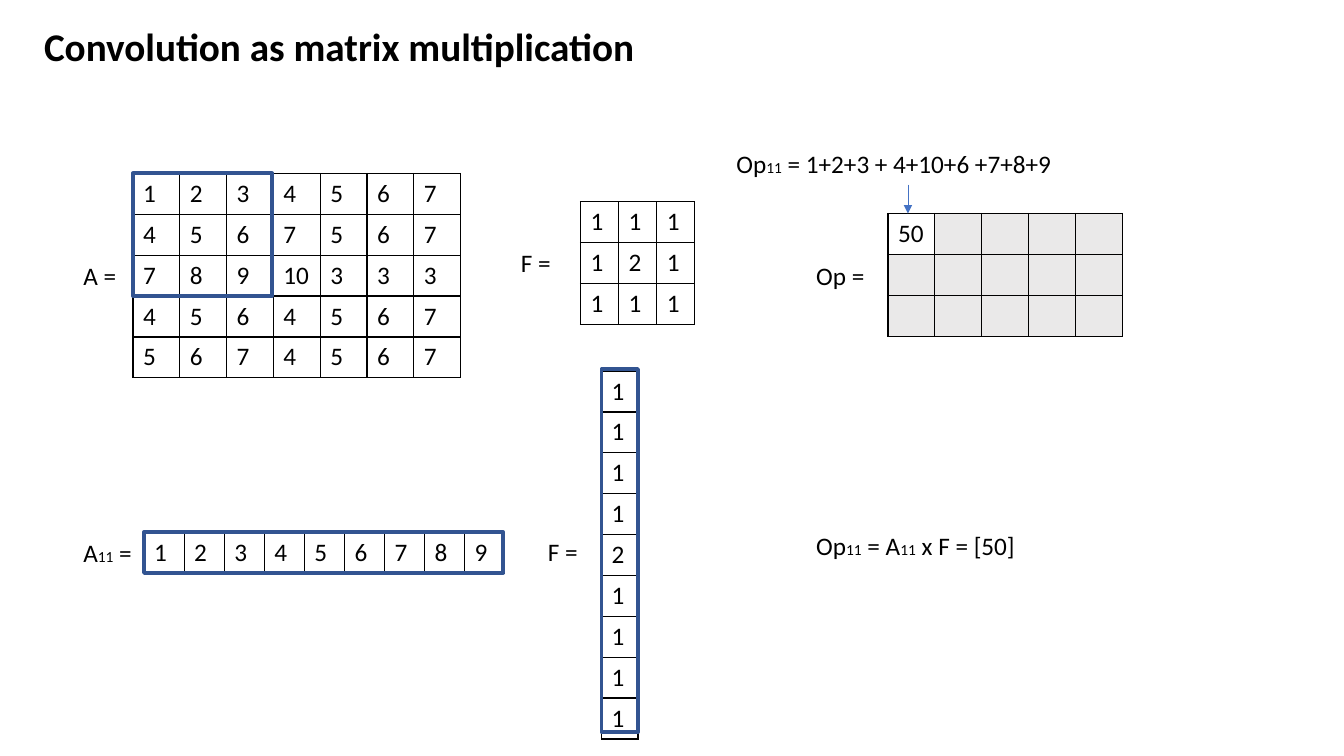
import pptx
import pptx.dml.color
import pptx.enum.shapes
import pptx.enum.text
import pptx.oxml
import pptx.oxml.ns
import pptx.util
from lxml import etree

Cm, Pt = pptx.util.Cm, pptx.util.Pt
qn = pptx.oxml.ns.qn
COLORS = {"ink": "000000", "frame": "325491", "arrow": "4472C4", "blank": "D0CECE"}
ROW = 1.03


def rgb(name):
    return pptx.dml.color.RGBColor.from_string(COLORS[name])


class Board:
    font = "Calibri"
    size = 18
    small = 11

    def __init__(self, slide):
        self.slide = slide
        self.shapes = slide.shapes

    def style(self, run, size, bold=False):
        run.font.name = self.font
        run.font.size = Pt(size)
        run.font.bold = bold
        run.font.color.rgb = rgb("ink")

    def title(self, text, x, y, w, h):
        box = self.text(text, x, y, w, h, size=28, bold=True)
        box.text_frame.auto_size = pptx.enum.text.MSO_AUTO_SIZE.NONE
        box.text_frame.vertical_anchor = pptx.enum.text.MSO_ANCHOR.BOTTOM
        box.text_frame.paragraphs[0].line_spacing = 0.9

    def text(self, text, x, y, w, h=1.03, wrap=True, size=size, bold=False):
        """Parts between bars are set as small indices."""
        box = self.shapes.add_textbox(Cm(x), Cm(y), Cm(w), Cm(h))
        frame = box.text_frame
        frame.word_wrap = wrap
        frame.auto_size = pptx.enum.text.MSO_AUTO_SIZE.SHAPE_TO_FIT_TEXT
        for i, part in enumerate(text.split("|")):
            run = frame.paragraphs[0].add_run()
            run.text = part
            self.style(run, self.small if i % 2 else size, bold)
        return box

    def border(self, cell):
        props = cell._tc.get_or_add_tcPr()
        for i, side in enumerate("LRTB"):
            line = etree.Element(qn(f"a:ln{side}"), w=str(Pt(1)))
            fill = etree.SubElement(line, qn("a:solidFill"))
            etree.SubElement(fill, qn("a:srgbClr"), val=COLORS["ink"])
            props.insert(i, line)

    def matrix(self, rows, x, y, col):
        """Cells holding None are shaded."""
        count = len(rows[0])
        table = self.shapes.add_table(len(rows), count, Cm(x), Cm(y),
                                      Cm(col * count), Cm(ROW * len(rows))).table
        table.first_row = table.horz_banding = False
        for column in table.columns:
            column.width = Cm(col)
        for r, row in enumerate(rows):
            table.rows[r].height = Cm(ROW)
            for c, value in enumerate(row):
                cell = table.cell(r, c)
                if value is None:
                    self.shade(cell)
                else:
                    cell.fill.background()
                    cell.text_frame.text = str(value)
                    self.style(cell.text_frame.paragraphs[0].runs[0], self.size)
                self.border(cell)

    def shade(self, cell):
        cell.fill.solid()
        cell.fill.fore_color.rgb = rgb("blank")
        tint = cell._tc.tcPr.find(".//" + qn("a:srgbClr"))
        etree.SubElement(tint, qn("a:alpha"), val="43000")

    def frame(self, x, y, w, h):
        box = self.shapes.add_shape(pptx.enum.shapes.MSO_SHAPE.RECTANGLE,
                                    Cm(x), Cm(y), Cm(w), Cm(h))
        box.shadow.inherit = False
        box.fill.background()
        box.line.color.rgb = rgb("frame")
        box.line.width = Pt(2.75)

    def arrow(self, box, x, y):
        """Runs from the bottom of a box to a point."""
        line = self.shapes.add_connector(pptx.enum.shapes.MSO_CONNECTOR.STRAIGHT,
                                         Cm(x), box.top + box.height, Cm(x), Cm(y))
        line.begin_connect(box, 2)
        line.line.color.rgb = rgb("arrow")
        line.line.width = Pt(0.5)
        etree.SubElement(line.line._get_or_add_ln(), qn("a:tailEnd"), type="triangle")
        etree.SubElement(line._element.spPr, qn("a:effectLst"))


def main():
    deck = pptx.Presentation()
    deck.slide_width, deck.slide_height = Cm(33.87), Cm(19.05)
    board = Board(deck.slides.add_slide(deck.slide_layouts[6]))
    board.title("Convolution as matrix multiplication", 0.86, 0.38, 25.4, 1.52)

    # Input matrix with its first window
    board.matrix([[1, 2, 3, 4, 5, 6, 7],
                  [4, 5, 6, 7, 5, 6, 7],
                  [7, 8, 9, 10, 3, 3, 3],
                  [4, 5, 6, 4, 5, 6, 7],
                  [5, 6, 7, 4, 5, 6, 7]], 3.35, 4.37, 1.18)
    board.text("A =", 1.85, 6.43, 1.35, wrap=False)
    board.frame(3.35, 4.37, 3.51, 3 * ROW)

    # Filter
    kernel = [[1, 1, 1], [1, 2, 1], [1, 1, 1]]
    board.matrix(kernel, 14.63, 5.08, 0.96)
    board.text("F =", 12.88, 6.1, 1.27, wrap=False)

    # Output
    output = [[None] * 5 for _ in range(3)]
    output[0][0] = 50
    board.matrix(output, 22.38, 5.38, 1.18)
    board.text("Op =", 20.32, 6.43, 2.06)
    total = board.text("Op|11| = 1+2+3 + 4+10+6 +7+8+9", 18.31, 3.62, 9.14)
    board.arrow(total, 22.88, 5.38)

    # Window as a row
    board.text("A|11| =", 1.85, 13.41, 1.78, wrap=False)
    board.matrix([range(1, 10)], 3.63, 13.41, 1.01)
    board.frame(3.63, 13.41, 9.05, ROW)

    # Filter as a column
    board.text("F =", 13.56, 13.39, 1.27, wrap=False)
    board.matrix([[value] for row in kernel for value in row], 15.16, 9.35, 0.92)
    board.frame(15.16, 9.3, 0.92, 9.15)

    # Product
    board.text("Op|11| = A|11| x F = [50]", 20.32, 13.23, 6.68)
    deck.save("out.pptx")


if __name__ == "__main__":
    main()
